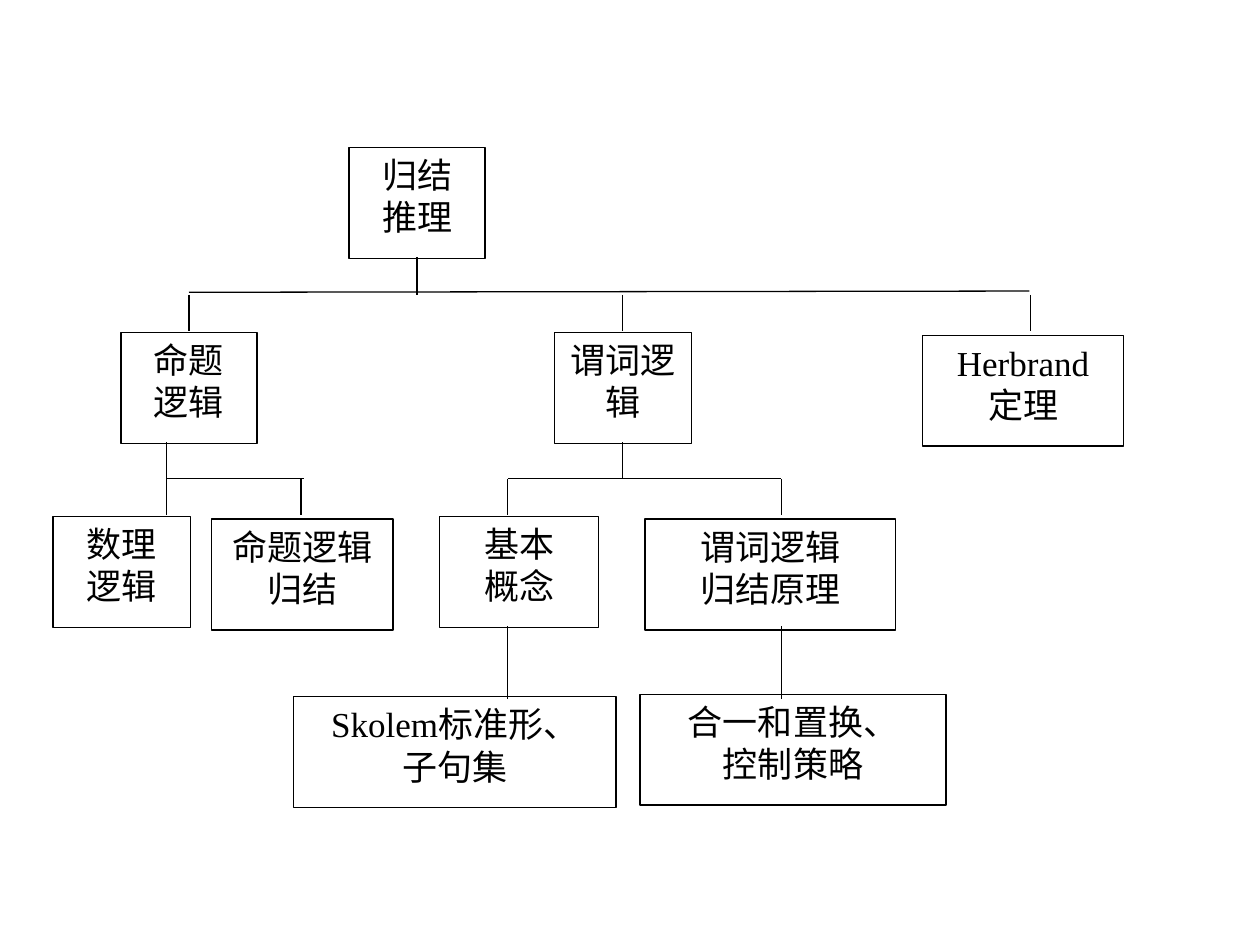
from lxml.etree import SubElement
from pptx import Presentation
from pptx.dml.color import RGBColor
from pptx.enum.shapes import MSO_CONNECTOR, MSO_SHAPE
from pptx.enum.text import MSO_ANCHOR, PP_ALIGN
from pptx.oxml.ns import qn
from pptx.util import Inches, Pt


def color(value):
    return RGBColor.from_string(value)


def place(x, y):
    return int(prs.slide_width * x / 100), int(prs.slide_height * y / 100)


prs = Presentation()
prs.slide_width, prs.slide_height = Inches(10), Inches(7.5)
s = prs.slides.add_slide(prs.slide_layouts[6])

box_height = 11.73
boxes = [
    (27.7, 15.6, 10.8, "归结\n推理"),
    (9.6, 35.2, 10.8, "命题\n逻辑"),
    (44, 35.2, 10.9, "谓词逻\n辑"),
    (73.2, 35.47, 16, "Herbrand\n定理"),
    (4.2, 54.67, 10.9, "数理\n逻辑"),
    (16.8, 54.93, 14.4, "命题逻辑\n归结"),
    (34.9, 54.67, 12.6, "基本\n概念"),
    (51.2, 54.93, 19.9, "谓词逻辑\n归结原理"),
    (23.3, 73.73, 25.6, "Skolem标准形、\n子句集"),
    (50.8, 73.47, 24.3, "合一和置换、\n控制策略"),
]
for x, y, width, text in boxes:
    sp = s.shapes.add_shape(MSO_SHAPE.RECTANGLE, *place(x, y), *place(width, box_height))
    sp.shadow.inherit = False
    sp.fill.solid()
    sp.fill.fore_color.rgb = color("FFFFFF")
    sp.line.color.rgb = color("000000")
    sp.line.width = Pt(0.75)
    tf = sp.text_frame
    tf.word_wrap = True
    tf.vertical_anchor = MSO_ANCHOR.TOP
    tf.margin_left = tf.margin_right = 0
    tf.margin_top = tf.margin_bottom = Inches(0.05)
    tf.text = text
    for p in tf.paragraphs:
        p.alignment = PP_ALIGN.CENTER
        for r in p.runs:
            r.font.size = Pt(20)
            r.font.name = "Times New Roman"
            r.font.color.rgb = color("000000")

drops = [
    (27.2, 31.2, [33.1]),
    (31.2, 35.07, [15, 49.4, 81.8]),
    (46.8, 50.67, [13.2, 49.4]),
    (50.67, 54.53, [13.2, 23.9, 40.3, 62]),
    (66.27, 74, [40.3, 62]),
]
lines = [(x, top, x, bottom) for top, bottom, columns in drops for x in columns]
lines += [
    (15, 30.93, 81.7, 30.8),
    (13.2, 50.67, 24.1, 50.67),
    (40.3, 50.67, 62, 50.67),
]
for x1, y1, x2, y2 in lines:
    c = s.shapes.add_connector(MSO_CONNECTOR.STRAIGHT, *place(x1, y1), *place(x2, y2))
    c.line.color.rgb = color("000000")
    c.line.width = Pt(0.75)
    SubElement(c._element.spPr, qn("a:effectLst"))

prs.save("out.pptx")
